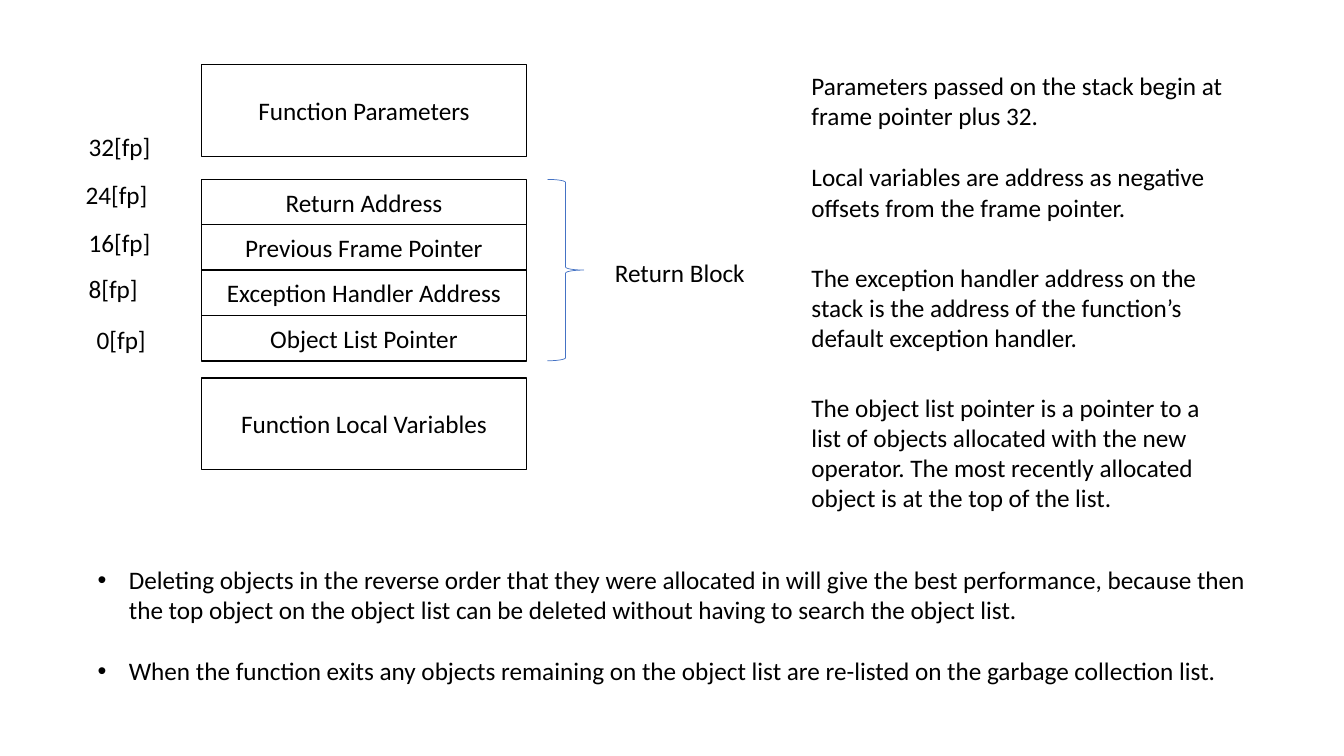
from lxml.etree import SubElement
from pptx import Presentation
from pptx.dml.color import RGBColor
from pptx.enum.shapes import MSO_SHAPE
from pptx.enum.text import MSO_ANCHOR, MSO_AUTO_SIZE, PP_ALIGN
from pptx.oxml.ns import qn
from pptx.util import Inches, Pt

COLORS = {"ink": "000000", "paper": "FFFFFF", "brace": "4472C4"}
STACK_LEFT, STACK_WIDTH = 2, 3.22
BLOCK_TOP, ROW_HEIGHT = 1.78, 0.45
AREA_HEIGHT = 0.91
LINE_GAP = Pt(22)

deck = Presentation()
deck.slide_width, deck.slide_height = Inches(13.33), Inches(7.5)
slide = deck.slides.add_slide(deck.slide_layouts[6])


def write(frame, paragraphs, align=PP_ALIGN.LEFT):
    """Fill a text frame with 18 pt paragraphs, one line apart."""
    frame.text = "\n".join(paragraphs)
    for index, paragraph in enumerate(frame.paragraphs):
        paragraph.alignment = align
        if index:
            paragraph.space_before = LINE_GAP
        font = paragraph.runs[0].font
        font.name, font.size = "Calibri", Pt(18)
        font.color.rgb = RGBColor.from_string(COLORS["ink"])


def add_text(left, top, width, height, paragraphs, wrap=True):
    """Add a text box and return its text frame."""
    box = slide.shapes.add_textbox(
        Inches(left), Inches(top), Inches(width), Inches(height))
    frame = box.text_frame
    frame.word_wrap = wrap
    frame.auto_size = MSO_AUTO_SIZE.SHAPE_TO_FIT_TEXT
    write(frame, paragraphs)
    return frame


# Stack frame, from high to low addresses
return_block = ["Return Address", "Previous Frame Pointer",
                "Exception Handler Address", "Object List Pointer"]
stack_cells = [("Function Parameters", 0.64, AREA_HEIGHT)]
stack_cells += [(entry, BLOCK_TOP + row * ROW_HEIGHT, ROW_HEIGHT)
                for row, entry in enumerate(return_block)]
stack_cells.append(("Function Local Variables", 3.75, AREA_HEIGHT))

for entry, top, height in stack_cells:
    cell = slide.shapes.add_shape(
        MSO_SHAPE.RECTANGLE, Inches(STACK_LEFT), Inches(top),
        Inches(STACK_WIDTH), Inches(height))
    cell.shadow.inherit = False
    cell.fill.solid()
    cell.fill.fore_color.rgb = RGBColor.from_string(COLORS["paper"])
    cell.line.color.rgb = RGBColor.from_string(COLORS["ink"])
    cell.line.width = Pt(1)
    cell.text_frame.vertical_anchor = MSO_ANCHOR.MIDDLE
    write(cell.text_frame, [entry], PP_ALIGN.CENTER)

# Frame pointer offsets
for offset, left, top, width in [
        ("32[fp]", 0.78, 1.25, 0.82), ("24[fp]", 0.75, 1.73, 0.82),
        ("16[fp]", 0.78, 2.21, 0.82), ("8[fp]", 0.78, 2.66, 0.69),
        ("0[fp]", 0.86, 3.17, 0.69)]:
    add_text(left, top, width, 0.4, [offset], wrap=False)

# Return block brace and its label
brace = slide.shapes.add_shape(
    MSO_SHAPE.RIGHT_BRACE, Inches(5.43), Inches(BLOCK_TOP),
    Inches(0.36), Inches(ROW_HEIGHT * len(return_block)))
brace.shadow.inherit = False
brace.fill.background()
brace.line.color.rgb = RGBColor.from_string(COLORS["brace"])
brace.line.width = Pt(0.5)
add_text(6, 2.5, 1.5, 0.4, ["Return Block"], wrap=False)

# Explanations beside the stack
for top, width, height, explanation in [
        (0.65, 4.41, 1.62, [
            "Parameters passed on the stack begin at frame pointer plus 32.",
            "Local variables are address as negative offsets from the frame "
            "pointer."]),
        (2.55, 4.31, 1.01, [
            "The exception handler address on the stack is the address of "
            "the function’s default exception handler."]),
        (3.84, 4.23, 1.31, [
            "The object list pointer is a pointer to a list of objects "
            "allocated with the new operator. The most recently allocated "
            "object is at the top of the list."])]:
    add_text(7.95, top, width, height, explanation)

# Bulleted notes on object deletion
deletion_notes = add_text(0.87, 5.55, 11.6, 1.31, [
    "Deleting objects in the reverse order that they were allocated in will "
    "give the best performance, because then the top object on the object "
    "list can be deleted without having to search the object list.",
    "When the function exits any objects remaining on the object list are "
    "re-listed on the garbage collection list."])
for note in deletion_notes.paragraphs:
    properties = note._p.get_or_add_pPr()
    properties.set("marL", str(Inches(0.31)))
    properties.set("indent", str(-Inches(0.31)))
    SubElement(properties, qn("a:buFont")).set("typeface", "Arial")
    SubElement(properties, qn("a:buChar")).set("char", "•")

deck.save("out.pptx")
